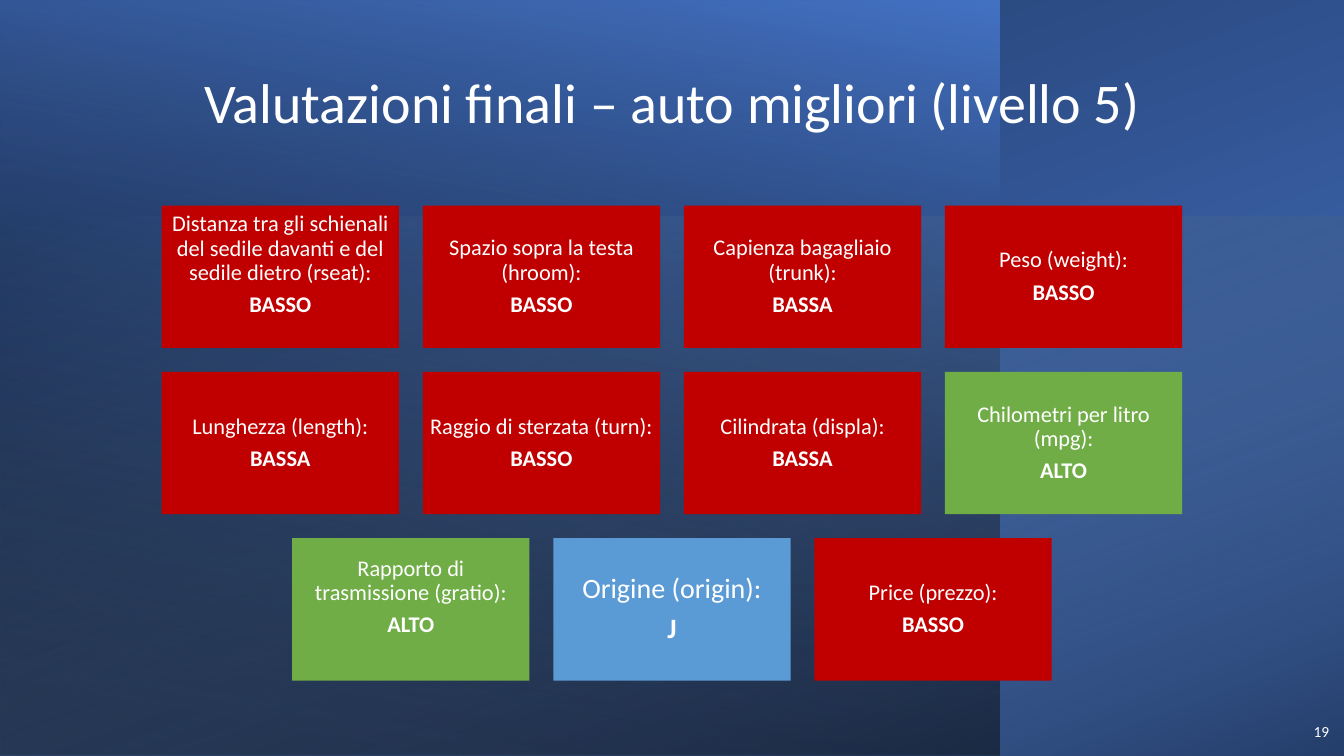
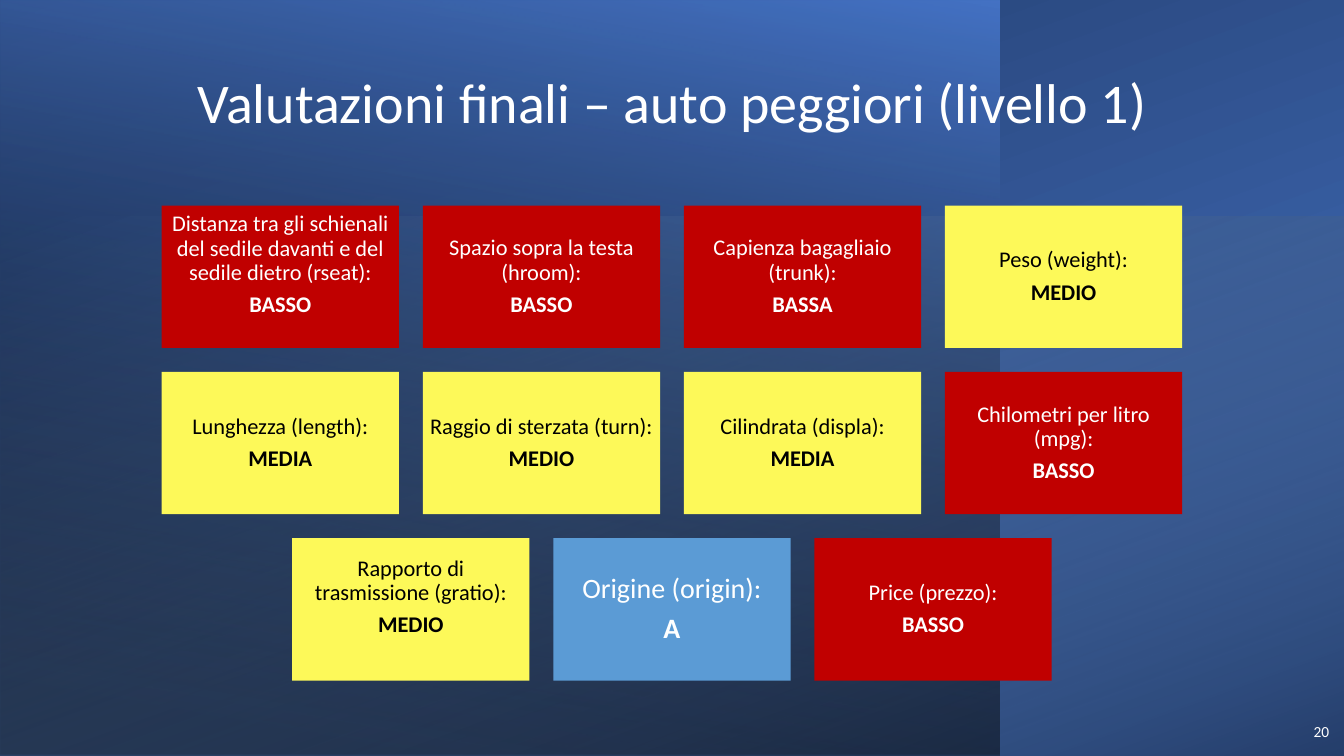
from dataclasses import dataclass
from typing import Any

from lxml.etree import SubElement
from pptx import Presentation
from pptx.dml.color import RGBColor as RGB
from pptx.enum.shapes import MSO_SHAPE as SHAPE
from pptx.enum.text import MSO_ANCHOR as ANCHOR
from pptx.enum.text import PP_ALIGN as ALIGN
from pptx.oxml.ns import qn
from pptx.util import Cm, Pt

SLIDE_W, SLIDE_H = 33.87, 19.05
BOX_W, BOX_H, GAP = 5.98, 3.59, 0.6
GRID_TOP = 5.18
FONT = "Calibri"

COLORS = {
    "white": "FFFFFF",
    "black": "000000",
    "red": "C00000",
    "green": "70AD47",
    "yellow": "FDF959",
    "light_blue": "5B9BD5",
    "blue": "4472C4",
    "navy": "203864",
    "sky": "9DC3E6",
}

RATING_FILLS = {
    "BASSO": "red",
    "BASSA": "red",
    "MEDIO": "yellow",
    "MEDIA": "yellow",
    "ALTO": "green",
}


@dataclass(frozen=True)
class Stop:
    position: float
    color: str
    opacity: int = 100


@dataclass(frozen=True)
class Band:
    left: float
    top: float
    width: float
    height: float
    rotation: int
    angle: int
    stops: tuple[Stop, Stop]


@dataclass(frozen=True)
class Feature:
    label: str
    size: int = 16
    inset: float = 0.17
    lift: float = 0


@dataclass(frozen=True)
class Summary:
    number: int
    title: str
    ratings: tuple[str, ...]


BANDS = (
    Band(0, 0, SLIDE_W, SLIDE_H, 270, 200, (Stop(0.08, "blue"), Stop(1, "navy"))),
    Band(0, 0, 25.2, SLIDE_H, 180, 80, (Stop(0.08, "black", 52), Stop(1, "blue"))),
    Band(0, 5.47, SLIDE_W, 13.58, 270, 20, (Stop(0, "sky", 0), Stop(1, "black", 46))),
)

FEATURE_ROWS = (
    (
        Feature("Distanza tra gli schienali del sedile davanti e del sedile dietro (rseat):", lift=0.6),
        Feature("Spazio sopra la testa (hroom):"),
        Feature("Capienza bagagliaio (trunk):"),
        Feature("Peso (weight):"),
    ),
    (
        Feature("Lunghezza (length):"),
        Feature("Raggio di sterzata (turn):"),
        Feature("Cilindrata (displa):"),
        Feature("Chilometri per litro (mpg):"),
    ),
    (
        Feature("Rapporto di trasmissione (gratio):", lift=0.6),
        Feature("Origine (origin):", size=20, inset=0.2),
        Feature("Price (prezzo):"),
    ),
)

SUMMARIES = (
    Summary(
        19,
        "Valutazioni finali – auto migliori (livello 5)",
        ("BASSO", "BASSO", "BASSA", "BASSO", "BASSA", "BASSO", "BASSA", "ALTO", "ALTO", "J", "BASSO"),
    ),
    Summary(
        20,
        "Valutazioni finali – auto peggiori (livello 1)",
        ("BASSO", "BASSO", "BASSA", "MEDIO", "MEDIA", "MEDIO", "MEDIA", "BASSO", "MEDIO", "A", "BASSO"),
    ),
)


def set_all(target: Any, values: dict[str, Any]) -> None:
    for name, value in values.items():
        setattr(target, name, value)


def rgb(color: str) -> RGB:
    return RGB.from_string(COLORS[color])


def add_rect(slide: Any, left: float, top: float, width: float, height: float) -> Any:
    sp = slide.shapes.add_shape(SHAPE.RECTANGLE, Cm(left), Cm(top), Cm(width), Cm(height))
    sp.shadow.inherit = False
    sp.line.fill.background()
    return sp


def write(p: Any, text: str, size: int, color: str, bold: bool = False, **layout: Any) -> None:
    set_all(p, layout)
    r = p.add_run()
    r.text = text
    set_all(r.font, {"name": FONT, "size": Pt(size), "bold": bold})
    r.font.color.rgb = rgb(color)


def add_band(slide: Any, band: Band) -> None:
    width, height = band.width, band.height
    if band.rotation % 180:
        width, height = height, width
    left = band.left + (band.width - width) / 2
    top = band.top + (band.height - height) / 2
    sp = add_rect(slide, left, top, width, height)
    sp.rotation = band.rotation
    sp.element.spPr.xfrm.set("flipH", "1")
    sp.fill.gradient()
    sp.fill.gradient_angle = 360 - band.angle
    for gradient_stop, stop in zip(sp.fill.gradient_stops, band.stops):
        gradient_stop.position = stop.position
        gradient_stop.color.rgb = rgb(stop.color)
    for color, stop in zip(sp.element.spPr.iter(qn("a:srgbClr")), band.stops):
        if stop.opacity < 100:
            SubElement(color, qn("a:alpha")).set("val", str(stop.opacity * 1000))


def add_text(
    slide: Any,
    at: tuple[float, float, float, float],
    text: str,
    size: int,
    anchor: ANCHOR,
    **layout: Any,
) -> None:
    tf = slide.shapes.add_textbox(*map(Cm, at)).text_frame
    set_all(tf, {"word_wrap": True, "vertical_anchor": anchor})
    write(tf.paragraphs[0], text, size, "white", **layout)


def add_feature(slide: Any, feature: Feature, rating: str, left: float, top: float) -> None:
    fill = RATING_FILLS.get(rating, "light_blue")
    color = "black" if fill == "yellow" else "white"
    sp = add_rect(slide, left, top, BOX_W, BOX_H)
    sp.fill.solid()
    sp.fill.fore_color.rgb = rgb(fill)
    tf = sp.text_frame
    inset = Cm(feature.inset)
    set_all(tf, {
        "word_wrap": True,
        "vertical_anchor": ANCHOR.MIDDLE,
        "margin_left": inset,
        "margin_right": inset,
        "margin_top": inset,
        "margin_bottom": Cm(feature.inset + feature.lift),
    })
    layout = {
        "alignment": ALIGN.CENTER,
        "line_spacing": 0.9,
        "space_after": Pt(0.35 * feature.size),
    }
    write(tf.paragraphs[0], feature.label, feature.size, color, **layout)
    write(tf.add_paragraph(), rating, feature.size, color, bold=True, **layout)


def add_grid(slide: Any, ratings: tuple[str, ...]) -> None:
    remaining = iter(ratings)
    for row, features in enumerate(FEATURE_ROWS):
        row_width = len(features) * (BOX_W + GAP) - GAP
        left = (SLIDE_W - row_width) / 2
        top = GRID_TOP + row * (BOX_H + GAP)
        for column, feature in enumerate(features):
            add_feature(slide, feature, next(remaining), left + column * (BOX_W + GAP), top)


def add_summary(prs: Any, summary: Summary) -> None:
    s = prs.slides.add_slide(prs.slide_layouts[6])
    for band in BANDS:
        add_band(s, band)
    add_text(s, (32.51, 17.93, 1.24, 1.02), str(summary.number), 11, ANCHOR.MIDDLE, alignment=ALIGN.RIGHT)
    add_text(
        s, (0, 1.57, SLIDE_W, 1.98), summary.title, 40, ANCHOR.BOTTOM,
        alignment=ALIGN.CENTER, line_spacing=0.9,
    )
    add_grid(s, summary.ratings)


def main() -> None:
    prs = Presentation()
    set_all(prs, {"slide_width": Cm(SLIDE_W), "slide_height": Cm(SLIDE_H)})
    for summary in SUMMARIES:
        add_summary(prs, summary)
    prs.save("out.pptx")


if __name__ == "__main__":
    main()
